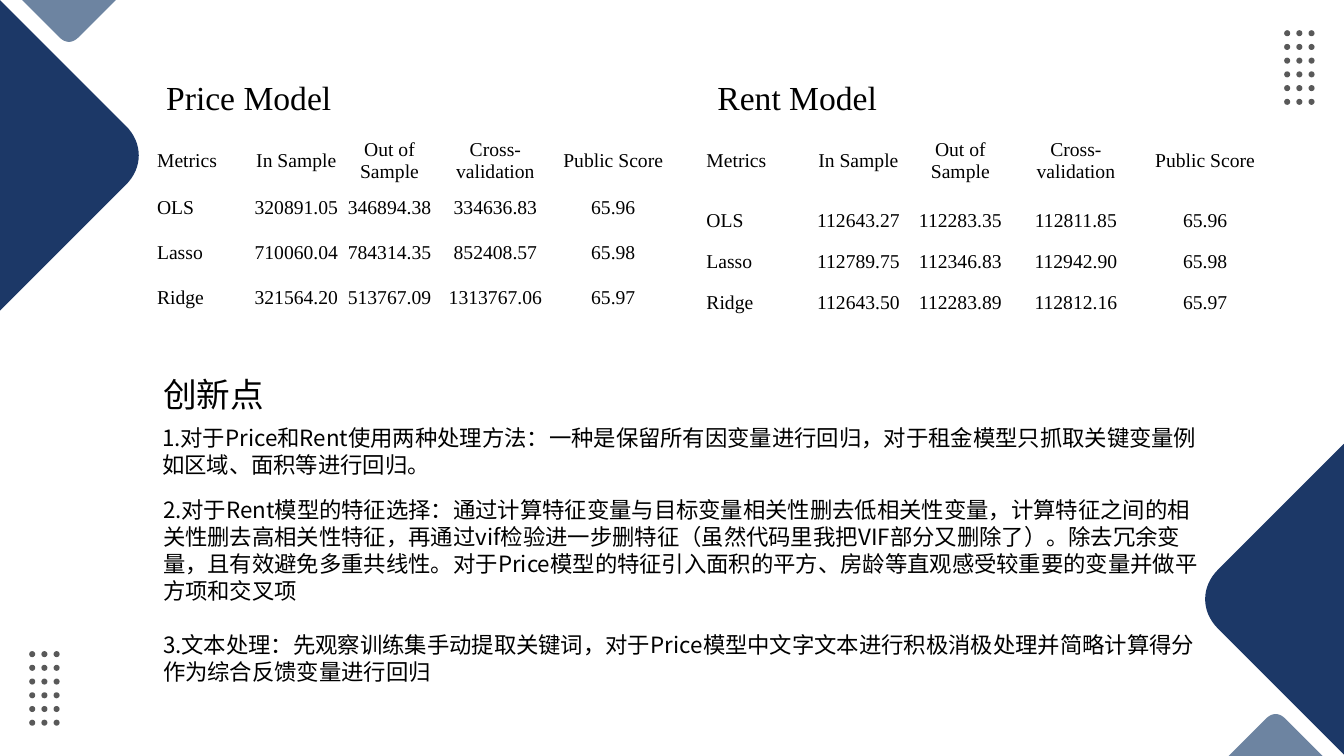
from dataclasses import dataclass

from lxml import etree
from pptx import Presentation
from pptx.dml.color import RGBColor
from pptx.enum.shapes import MSO_SHAPE
from pptx.enum.text import MSO_ANCHOR, PP_ALIGN
from pptx.oxml.ns import qn
from pptx.shapes.base import BaseShape
from pptx.slide import Slide
from pptx.text.text import _Paragraph
from pptx.util import Pt

OVAL = MSO_SHAPE.OVAL
MIDDLE = MSO_ANCHOR.MIDDLE
LEFT, CENTER = PP_ALIGN.LEFT, PP_ALIGN.CENTER
COLORS = {"navy": "1C3867", "steel": "6D84A1", "dot": "595959", "text": "000000"}
SERIF, CHINESE = "Times New Roman", "Noto Sans CJK SC"
HEADER = ["Metrics", "In Sample", "Out of Sample", "Cross-validation", "Public Score"]
CURVE_STEPS = 16


@dataclass
class Wedge:
    """A rounded right-angled corner that points inward from a slide edge."""

    center: tuple[float, float]
    inward: tuple[int, int]
    half: float
    bend: float
    control: float
    color: str


@dataclass
class ScoreTable:
    """A table of model scores, with its place and measures."""

    left: float
    top: float
    columns: list[float]
    header_height: float
    row_height: float
    rows: list[list[str]]


@dataclass
class TextBlock:
    """A text box with one font and size."""

    left: float
    top: float
    width: float
    height: float
    font: str
    size: float
    paragraphs: list[str]
    line: float | None = None


WEDGES = [
    Wedge((49.3, 0), (0, 1), 33.5, 26.7, 31, "steel"),
    Wedge((0, 111), (1, 0), 111, 90, 102.2, "navy"),
    Wedge((911.2, 540), (0, -1), 33.5, 26.7, 31, "steel"),
    Wedge((960, 428), (-1, 0), 111, 90, 102.2, "navy"),
]
DOT_GRIDS = [(20.9, 465.1), (917.3, 21.6)]
TABLES = [
    ScoreTable(111.6, 97.2, [67, 66.2, 67, 84.2, 84.2], 34.6, 32.3, [
        ["OLS", "320891.05", "346894.38", "334636.83", "65.96"],
        ["Lasso", "710060.04", "784314.35", "852408.57", "65.98"],
        ["Ridge", "321564.20", "513767.09", "1313767.06", "65.97"],
    ]),
    ScoreTable(504, 87.1, [72.8, 72.8, 72.8, 92.3, 92.3], 55.4, 29.4, [
        ["OLS", "112643.27", "112283.35", "112811.85", "65.96"],
        ["Lasso", "112789.75", "112346.83", "112942.90", "65.98"],
        ["Ridge", "112643.50", "112283.89", "112812.16", "65.97"],
    ]),
]
TEXTS = [
    TextBlock(111.6, 51.1, 193, 36, SERIF, 24, ["Price Model"]),
    TextBlock(505.4, 51.1, 170.6, 36, SERIF, 24, ["Rent Model"]),
    TextBlock(109.4, 263.5, 193, 36, CHINESE, 24, ["创新点"], 29),
    TextBlock(108.7, 299.5, 753.8, 73.4, CHINESE, 16, [
        "1.对于Price和Rent使用两种处理方法：一种是保留所有因变量进行回归，"
        "对于租金模型只抓取关键变量例如区域、面积等进行回归。",
    ], 19.3),
    TextBlock(109.4, 350.6, 753.8, 114.5, CHINESE, 16, [
        "2.对于Rent模型的特征选择：通过计算特征变量与目标变量相关性删去低相关性变量，"
        "计算特征之间的相关性删去高相关性特征，再通过vif检验进一步删特征"
        "（虽然代码里我把VIF部分又删除了）。除去冗余变量，且有效避免多重共线性。"
        "对于Price模型的特征引入面积的平方、房龄等直观感受较重要的变量并做平方项和交叉项",
        "3.文本处理：先观察训练集手动提取关键词，对于Price模型中文字文本进行积极消极处理"
        "并简略计算得分作为综合反馈变量进行回归",
    ], 19.3),
]


def paint(shape: BaseShape, color: str) -> None:
    """Give a shape a flat fill with no line or shadow."""
    shape.shadow.inherit = False
    shape.fill.solid()
    shape.fill.fore_color.rgb = RGBColor.from_string(COLORS[color])
    shape.line.fill.background()


def format_runs(para: _Paragraph, font: str, size: float) -> None:
    """Set the font, size and colour of every run in a paragraph."""
    for span in para.runs:
        span.font.size = Pt(size)
        span.font.name = font
        span.font.color.rgb = RGBColor.from_string(COLORS["text"])
        east_asian = etree.SubElement(span.font._element, qn("a:ea"))
        east_asian.set("typeface", font)


def draw_wedge(page: Slide, wedge: Wedge) -> None:
    """Draw a corner whose tip is a sampled cubic curve."""
    half, bend, control = wedge.half, wedge.bend, wedge.control
    outline = [(0.0, -half)]
    for step in range(CURVE_STEPS + 1):
        t = step / CURVE_STEPS
        ends = (1 - t) ** 3, t ** 3
        pulls = 3 * t * (1 - t) ** 2, 3 * t * t * (1 - t)
        depth = bend * sum(ends) + control * sum(pulls)
        spread = (half - bend) * (ends[1] - ends[0])
        spread += (half - control) * (pulls[1] - pulls[0])
        outline.append((depth, spread))
    outline.append((0.0, half))
    (x, y), (dx, dy) = wedge.center, wedge.inward
    points = [
        (Pt(x + dx * depth + abs(dy) * spread), Pt(y + dy * depth + abs(dx) * spread))
        for depth, spread in outline
    ]
    builder = page.shapes.build_freeform(*points[0])
    builder.add_line_segments(points[1:], close=True)
    paint(builder.convert_to_shape(), wedge.color)


def draw_dots(page: Slide, left: float, top: float) -> None:
    """Draw a grid of three by six dots."""
    for row in range(6):
        for column in range(3):
            x, y = left + column * 8.7, top + row * 9.8
            dot = page.shapes.add_shape(OVAL, Pt(x), Pt(y), Pt(4.3), Pt(4.3))
            paint(dot, "dot")


def draw_table(page: Slide, scores: ScoreTable) -> None:
    """Draw a plain score table that ends with an empty row."""
    rows = [HEADER, *scores.rows, [""] * len(HEADER)]
    heights = [scores.header_height] + [scores.row_height] * (len(rows) - 1)
    table = page.shapes.add_table(
        len(rows), len(HEADER), Pt(scores.left), Pt(scores.top),
        Pt(sum(scores.columns)), Pt(sum(heights)),
    ).table
    table.first_row = table.horz_banding = False
    for column, width in zip(table.columns, scores.columns):
        column.width = Pt(width)
    for row, height, values in zip(table.rows, heights, rows):
        row.height = Pt(height)
        for index, (cell, value) in enumerate(zip(row.cells, values)):
            cell.fill.background()
            cell.vertical_anchor = MIDDLE
            cell.margin_left = cell.margin_right = cell.margin_top = Pt(0.6)
            cell.margin_bottom = Pt(0)
            para = cell.text_frame.paragraphs[0]
            para.text = value
            para.alignment = CENTER if index else LEFT
            format_runs(para, SERIF, 14)


def draw_text(page: Slide, block: TextBlock) -> None:
    """Draw a wrapped text box, with one line of space between paragraphs."""
    box = page.shapes.add_textbox(
        Pt(block.left), Pt(block.top), Pt(block.width), Pt(block.height)
    )
    frame = box.text_frame
    frame.word_wrap = True
    frame.text = "\n".join(block.paragraphs)
    for index, para in enumerate(frame.paragraphs):
        if block.line:
            para.line_spacing = Pt(block.line)
            if index:
                para.space_before = Pt(block.line)
        format_runs(para, block.font, block.size)


def main() -> None:
    """Build the slide and save the deck."""
    deck = Presentation()
    deck.slide_width, deck.slide_height = Pt(960), Pt(540)
    page = deck.slides.add_slide(deck.slide_layouts[6])
    for left, top in DOT_GRIDS:
        draw_dots(page, left, top)
    for wedge in WEDGES:
        draw_wedge(page, wedge)
    for scores in TABLES:
        draw_table(page, scores)
    for block in TEXTS:
        draw_text(page, block)
    deck.save("out.pptx")


if __name__ == "__main__":
    main()
